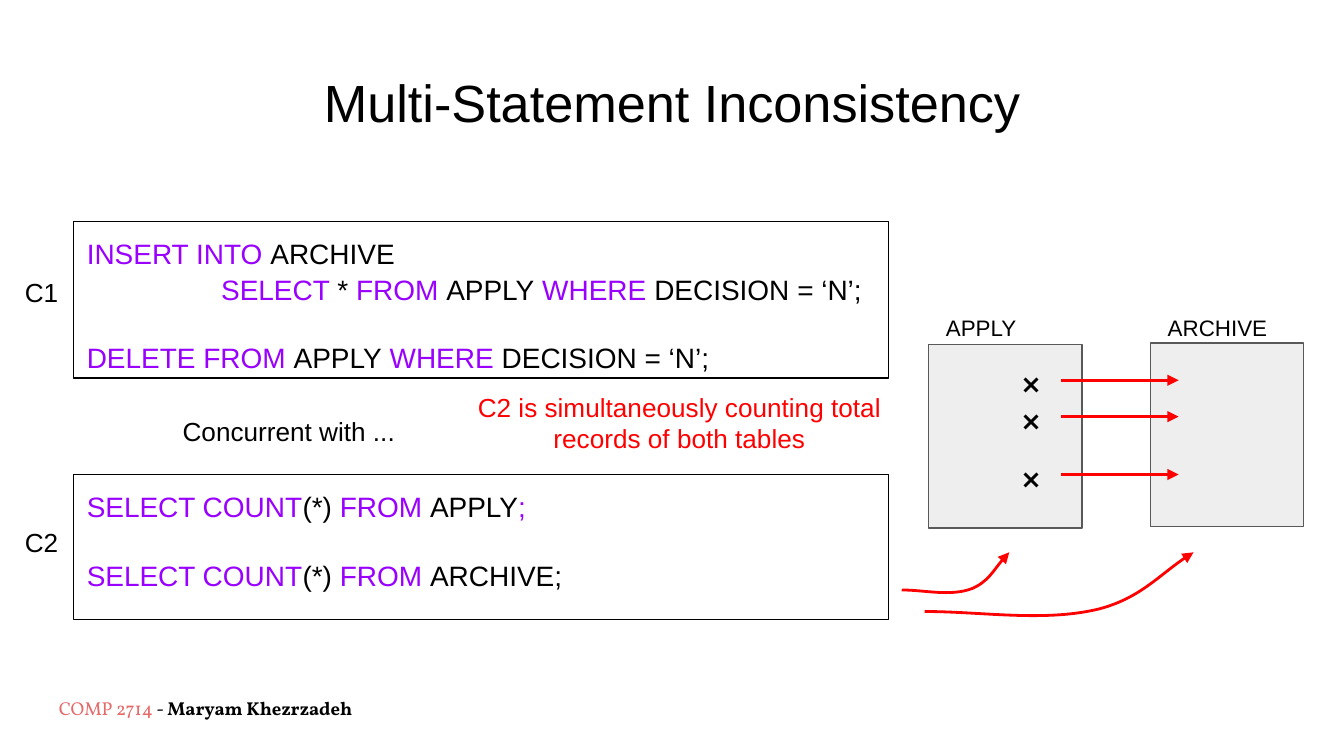
from lxml.etree import SubElement
from pptx import Presentation
from pptx.dml.color import RGBColor
from pptx.enum.shapes import MSO_CONNECTOR, MSO_SHAPE
from pptx.enum.text import MSO_ANCHOR, PP_ALIGN
from pptx.oxml.ns import qn
from pptx.util import Pt

COLORS = {"black": "000000", "keyword": "9900FF", "red": "FF0000",
          "course": "E56B6A", "table": "EEEEEE", "border": "595959"}
RGB = {name: RGBColor.from_string(value) for name, value in COLORS.items()}


def write(shape, *lines, size=14, font="Arial", color="black",
          align=PP_ALIGN.LEFT, spacing=1.0):
    """Fill a shape; a line is a string or a list of (text, color, bold) runs."""
    tf = shape.text_frame
    tf.word_wrap = True
    tf.vertical_anchor = MSO_ANCHOR.TOP
    tf.margin_left = tf.margin_right = tf.margin_top = tf.margin_bottom = Pt(7.2)
    for i, line in enumerate(lines):
        p = tf.paragraphs[0] if i == 0 else tf.add_paragraph()
        p.alignment = align
        p.line_spacing = spacing
        p.space_before = Pt(size * 1.2 if i and line is lines[-1] else 0)
        runs = [(line, color, False)] if isinstance(line, str) else line
        if runs[0][0].startswith("\t"):
            tabs = SubElement(p._p.get_or_add_pPr(), qn("a:tabLst"))
            SubElement(tabs, qn("a:tab"), pos=str(Pt(72)), algn="l")
        for text, run_color, bold in runs:
            r = p.add_run()
            r.text = text
            r.font.size = Pt(size)
            r.font.name = font
            r.font.bold = bold
            r.font.color.rgb = RGB[run_color]


def style_arrow(shape):
    shape.line.color.rgb = RGB["red"]
    shape.line.width = Pt(1.5)
    SubElement(shape.line._get_or_add_ln(), qn("a:tailEnd"), type="triangle")


prs = Presentation()
prs.slide_width, prs.slide_height = Pt(720), Pt(405)
s = prs.slides.add_slide(prs.slide_layouts[5])

# Title and footer
title = s.shapes.title
title.left, title.top, title.width, title.height = Pt(24.5), Pt(30.2), Pt(671), Pt(68.4)
write(title, "Multi-Statement Inconsistency", size=28, align=PP_ALIGN.CENTER)
footer = s.shapes.add_textbox(Pt(24.5), Pt(367.2), Pt(272), Pt(24.5))
write(footer, [("COMP 2714", "course", False), (" - ", "black", False),
               ("Maryam Khezrzadeh", "black", True)], size=10, font="Vollkorn")

# SQL boxes: keywords in purple, the rest in black
KEY, PLAIN = "keyword", "black"
delete_tail = [("APPLY", PLAIN, False), (" WHERE ", KEY, False),
               ("DECISION = ‘N’;", PLAIN, False)]
move_rows = [
    [("INSERT INTO ", KEY, False), ("ARCHIVE", PLAIN, False)],
    [("\tSELECT ", KEY, False), ("*", PLAIN, False), (" FROM ", KEY, False), *delete_tail],
    [("DELETE FROM ", KEY, False), *delete_tail],
]
count_rows = [
    [("SELECT COUNT", KEY, False), ("(*) ", PLAIN, False), ("FROM ", KEY, False),
     ("APPLY", PLAIN, False), (";", KEY, False)],
    [("SELECT COUNT", KEY, False), ("(*)", PLAIN, False), (" FROM ", KEY, False),
     ("ARCHIVE;", PLAIN, False)],
]
for name, label_top, top, height, code in [("C1", 141, 118.8, 83.7, move_rows),
                                           ("C2", 275, 254.2, 77.6, count_rows)]:
    box = s.shapes.add_shape(MSO_SHAPE.RECTANGLE, Pt(39.4), Pt(top), Pt(436.5), Pt(height))
    box.shadow.inherit = False
    box.fill.background()
    box.line.color.rgb = RGB["black"]
    box.line.width = Pt(0.75)
    write(box, *code, size=15, spacing=1.05)
    label = s.shapes.add_textbox(Pt(0), Pt(label_top), Pt(44.6), Pt(36))
    write(label, name, align=PP_ALIGN.CENTER)

# Remarks between the boxes
concurrent = s.shapes.add_textbox(Pt(90.7), Pt(215.3), Pt(202.3), Pt(26.6))
write(concurrent, "Concurrent with ...")
counting = s.shapes.add_textbox(Pt(236.2), Pt(202.3), Pt(255.6), Pt(62.6))
write(counting, "C2 is simultaneously counting total records of both tables",
      color="red", align=PP_ALIGN.CENTER)

# The two tables
for name, left, top in [("APPLY", 497.5, 184.6), ("ARCHIVE", 616.3, 183.8)]:
    table = s.shapes.add_shape(MSO_SHAPE.RECTANGLE, Pt(left), Pt(top), Pt(82.2), Pt(98.3))
    table.shadow.inherit = False
    table.fill.solid()
    table.fill.fore_color.rgb = RGB["table"]
    table.line.color.rgb = RGB["border"]
    table.line.width = Pt(0.75)
    label = s.shapes.add_textbox(Pt(left + 2.2), Pt(161.3), Pt(82.2), Pt(23.8))
    write(label, name, size=12)

# Rows moving from APPLY to ARCHIVE
for y in (203.7, 223.2, 254.2):
    arrow = s.shapes.add_connector(MSO_CONNECTOR.STRAIGHT, Pt(568.6), Pt(y), Pt(631.4), Pt(y))
    style_arrow(arrow)
    SubElement(arrow._element.spPr, qn("a:effectLst"))
    mark = s.shapes.add_textbox(Pt(540.7), Pt(y - 13.4), Pt(26.6), Pt(26.6))
    write(mark, "❌")

# Curved arrows from C2 to the tables: a start and then three points per Bézier segment
curves = [
    [(483.1, 316.1), (495.4, 316.1), (509, 319.7), (520.6, 315.4),
     (529.2, 311.8), (534.2, 302.4), (540.7, 295.9)],
    [(495.4, 327.6), (526.3, 327.6), (559.4, 333.4), (589, 326.2),
     (610.6, 320.4), (622.8, 306), (639.4, 295.9)],
]
for start, *points in curves:
    builder = s.shapes.build_freeform(Pt(start[0]), Pt(start[1]))
    builder.add_line_segments([(Pt(x), Pt(y)) for x, y in points], close=False)
    curve = builder.convert_to_shape()
    curve.shadow.inherit = False
    curve.fill.background()
    style_arrow(curve)
    segments = list(curve._element.iter(qn("a:lnTo")))
    outline = segments[0].getparent()
    for i in range(0, len(segments), 3):
        bezier = SubElement(outline, qn("a:cubicBezTo"))
        for segment in segments[i:i + 3]:
            bezier.append(segment[0])
            outline.remove(segment)

prs.save("out.pptx")
